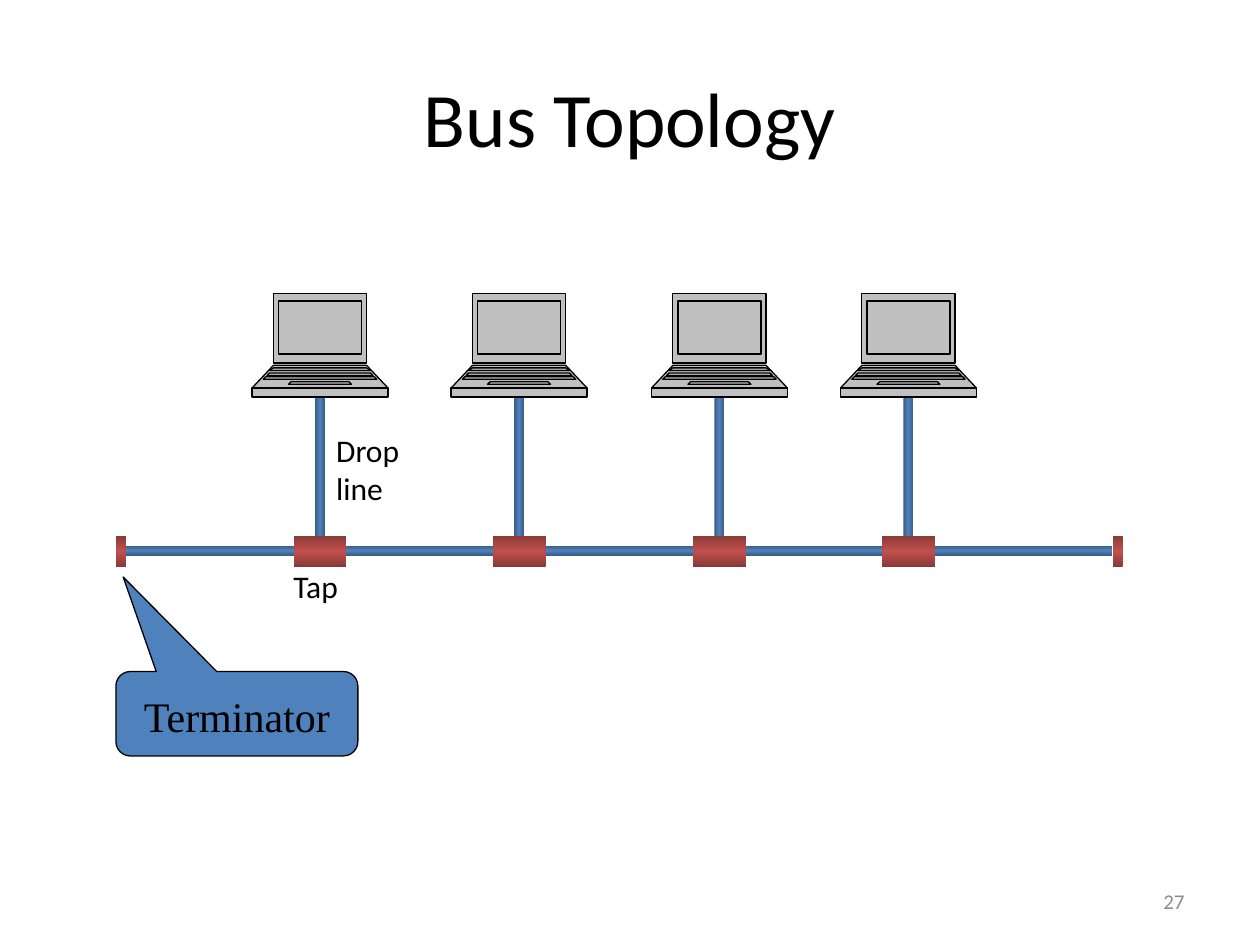
from copy import deepcopy
from typing import NamedTuple

from pptx import Presentation
from pptx import util as u
from pptx.dml.color import RGBColor
from pptx.enum import shapes, text
from pptx.oxml.ns import qn

BLUE, DARK_BLUE = "4F81BD", "395C87"
RED, DARK_RED = "C0504D", "893937"
BLACK, GREY, SILVER = "000000", "8C8C8C", "C0C0C0"
STATION_CENTERS = (2.54, 4.12, 5.71, 7.21)
LEFT, CENTER, RIGHT = text.PP_ALIGN.LEFT, text.PP_ALIGN.CENTER, text.PP_ALIGN.RIGHT
TOP, MIDDLE = text.MSO_ANCHOR.TOP, text.MSO_ANCHOR.MIDDLE


class Box(NamedTuple):
    """Left, top, width and height in inches."""
    left: float
    top: float
    width: float
    height: float

    def lengths(self) -> list:
        """Return the four values as lengths."""
        return [u.Inches(v) for v in self]


class Panel(NamedTuple):
    """A laptop part, symmetric about the laptop's centre line."""
    top: float
    half_top: float
    bottom: float
    half_bottom: float

    def corners(self, center: float) -> list:
        """Return the corners clockwise from the top left."""
        return [(center - self.half_top, self.top), (center + self.half_top, self.top),
                (center + self.half_bottom, self.bottom), (center - self.half_bottom, self.bottom)]


LAPTOP = (
    Panel(2.33, 0.37, 2.88, 0.37),
    Panel(2.9, 0.37, 3.08, 0.54),
    Panel(3.08, 0.54, 3.15, 0.54),
    Panel(2.39, 0.33, 2.81, 0.33),
    Panel(2.92, 0.37, 2.94, 0.4),
    Panel(3.03, 0.23, 3.05, 0.25),
    Panel(2.96, 0.4, 2.98, 0.42),
    Panel(2.99, 0.43, 3.01, 0.45),
)


def rgb(value: str) -> RGBColor:
    """Turn a hex string into a colour."""
    return RGBColor.from_string(value)


def write(sp, content: str, *, size: float = 18, font: str = "Calibri", color: str = BLACK,
          align=LEFT, anchor=TOP, wrap: bool = True) -> None:
    """Put formatted text into a shape."""
    tf = sp.text_frame
    tf.word_wrap = wrap
    tf.vertical_anchor = anchor
    if not wrap:
        tf.auto_size = text.MSO_AUTO_SIZE.SHAPE_TO_FIT_TEXT
    p = tf.paragraphs[0]
    p.text = content
    p.alignment = align
    for r in p.runs:
        r.font.size = u.Pt(size)
        r.font.name = font
        r.font.color.rgb = rgb(color)


def add_text(s, box: Box, content: str, **style) -> None:
    """Add a text box."""
    write(s.shapes.add_textbox(*box.lengths()), content, **style)


def paint(sp, fill: str, line: str) -> None:
    """Give a shape a flat fill and a thin line."""
    sp.shadow.inherit = False
    sp.fill.solid()
    sp.fill.fore_color.rgb = rgb(fill)
    sp.line.color.rgb = rgb(line)
    sp.line.width = u.Pt(0.75)


def add_bar(parent, box: Box, edge: str, middle: str, angle: float) -> None:
    """Add a rectangle shaded from its edges to its middle."""
    sp = parent.shapes.add_shape(shapes.MSO_SHAPE.RECTANGLE, *box.lengths())
    sp.shadow.inherit = False
    sp.line.fill.background()
    sp.fill.gradient()
    sp.fill.gradient_angle = angle
    stops = sp._element.spPr.find(".//" + qn("a:gsLst"))
    stops.append(deepcopy(stops[0]))
    for stop, position, color in zip(sp.fill.gradient_stops, (0, 0.5, 1), (edge, middle, edge)):
        stop.position = position
        stop.color.rgb = rgb(color)


def add_connection(s, center: float) -> None:
    """Add a drop line and its tap as one group."""
    group = s.shapes.add_group_shape()
    add_bar(group, Box(center - 0.04, 2.92, 0.08, 1.5), DARK_BLUE, BLUE, 0)
    add_bar(group, Box(center - 0.21, 4.25, 0.42, 0.25), DARK_RED, RED, 90)


def add_laptop(s, center: float) -> None:
    """Add a laptop as one outline whose panels are filled separately."""
    outlines = [[(round(x * 1000), round(y * 1000)) for x, y in panel.corners(center)]
                for panel in LAPTOP]
    builder = s.shapes.build_freeform(*outlines[0][0], scale=u.Inches(1) / 1000)
    for i, outline in enumerate(outlines):
        if i:
            builder.move_to(*outline[0])
        builder.add_line_segments(outline[1:], close=True)
    sp = builder.convert_to_shape()
    paint(sp, SILVER, BLACK)
    joined = sp._element.spPr.find(".//" + qn("a:path"))
    paths = joined.getparent()
    for step in list(joined):
        if step.tag == qn("a:moveTo"):
            current = deepcopy(joined)
            for child in list(current):
                current.remove(child)
            paths.append(current)
        current.append(step)
    paths.remove(joined)


def add_callout(s) -> None:
    """Add the callout that points at the left terminator."""
    sp = s.shapes.add_shape(shapes.MSO_SHAPE.ROUNDED_RECTANGULAR_CALLOUT,
                            *Box(0.92, 5.33, 1.92, 0.67).lengths())
    for i, value in enumerate((-0.47, -1.62, 0.17)):
        sp.adjustments[i] = value
    paint(sp, BLUE, BLACK)
    write(sp, "Terminator", size=24, font="Times New Roman", align=CENTER)
    sp.text_frame.margin_top = u.Inches(0.12)


def main() -> None:
    """Build the slide and save it."""
    prs = Presentation()
    prs.slide_width, prs.slide_height = u.Inches(10), u.Inches(7.5)
    s = prs.slides.add_slide(prs.slide_layouts[6])
    add_text(s, Box(7.17, 6.95, 2.33, 0.4), "27", size=12, color=GREY, align=RIGHT, anchor=MIDDLE)
    add_bar(s, Box(1, 4.33, 7.83, 0.08), DARK_BLUE, BLUE, 90)
    for center in STATION_CENTERS:
        add_connection(s, center)
    add_text(s, Box(0.5, 0.3, 9, 1.25), "Bus Topology", size=44, align=CENTER, anchor=MIDDLE)
    for center in STATION_CENTERS:
        add_laptop(s, center)
    for left in (0.92, 8.83):
        add_bar(s, Box(left, 4.25, 0.08, 0.25), DARK_RED, RED, 90)
    add_text(s, Box(2.57, 3.37, 0.74, 0.7), "Drop\vline", wrap=False)
    add_text(s, Box(2.23, 4.45, 0.62, 0.4), "Tap", wrap=False)
    add_callout(s)
    prs.save("out.pptx")


if __name__ == "__main__":
    main()
